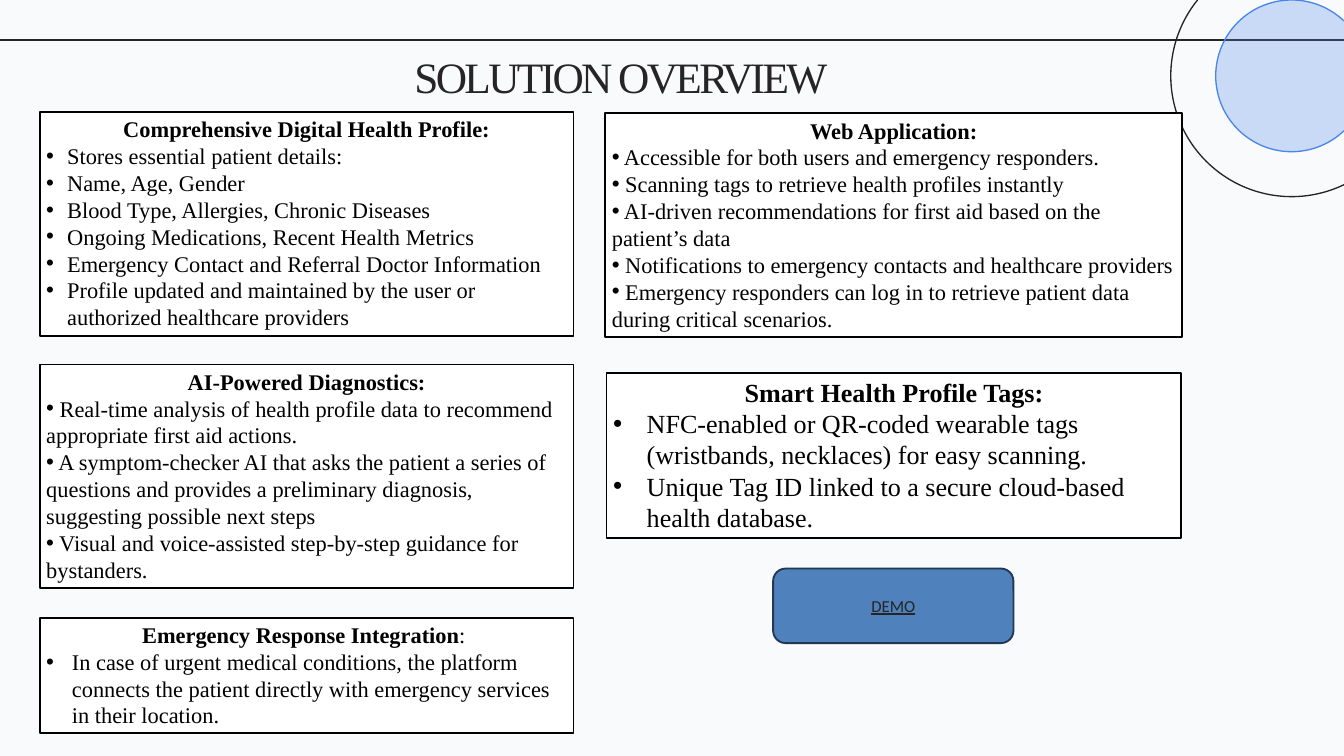
import math

from lxml import etree
from pptx import Presentation
from pptx.dml.color import RGBColor
from pptx.enum.shapes import MSO_CONNECTOR, MSO_SHAPE
from pptx.enum.text import MSO_ANCHOR, MSO_AUTO_SIZE, PP_ALIGN
from pptx.oxml.ns import qn
from pptx.util import Cm, Pt

STRAIGHT = MSO_CONNECTOR.STRAIGHT
RECTANGLE, ROUNDED = MSO_SHAPE.RECTANGLE, MSO_SHAPE.ROUNDED_RECTANGLE
TOP, MIDDLE = MSO_ANCHOR.TOP, MSO_ANCHOR.MIDDLE
LEFT, CENTER = PP_ALIGN.LEFT, PP_ALIGN.CENTER
FIXED, GROW = MSO_AUTO_SIZE.NONE, MSO_AUTO_SIZE.SHAPE_TO_FIT_TEXT

COLORS = {"page": "F8FAFB", "ink": "262425", "accent": "4A86E8", "card": "FFFFFF",
          "text": "000000", "button": "4F81BD", "button edge": "233953"}
SERIF, SANS = "Times New Roman", "Calibri"
PAGE_WIDTH, PAGE_HEIGHT = 50.83, 28.6

LEFT_X, LEFT_WIDTH = 1.5, 20.19
CARDS = [
    {"box": (LEFT_X, 4.24, LEFT_WIDTH, 8.46), "size": 24, "indent": 0.79,
     "heading": "Comprehensive Digital Health Profile:",
     "points": ["Stores essential patient details:",
                "Name, Age, Gender",
                "Blood Type, Allergies, Chronic Diseases",
                "Ongoing Medications, Recent Health Metrics",
                "Emergency Contact and Referral Doctor Information",
                "Profile updated and maintained by the user or authorized healthcare providers"]},
    {"box": (LEFT_X, 13.79, LEFT_WIDTH, 8.46), "size": 24, "indent": 0,
     "heading": "AI-Powered Diagnostics:",
     "points": [" Real-time analysis of health profile data to recommend appropriate "
                "first aid actions.",
                " A symptom-checker AI that asks the patient a series of questions and "
                "provides a preliminary diagnosis, suggesting possible next steps",
                " Visual and voice-assisted step-by-step guidance for bystanders."]},
    {"box": (LEFT_X, 23.37, LEFT_WIDTH, 4.37), "size": 24, "indent": 0.97,
     "heading": "Emergency Response Integration", "plain tail": ": ",
     "points": ["In case of urgent medical conditions, the platform connects the patient "
                "directly with emergency services in their location."]},
    {"box": (22.89, 4.29, 21.82, 8.46), "size": 24, "indent": 0,
     "heading": "Web Application:",
     "points": [" Accessible for both users and emergency responders.",
                " Scanning tags to retrieve health profiles instantly",
                " AI-driven recommendations for first aid based on the patient’s data",
                " Notifications to emergency contacts and healthcare providers",
                " Emergency responders can log in to retrieve patient data during "
                "critical scenarios."]},
    {"box": (22.94, 14.1, 21.74, 6.25), "size": 28, "indent": 1.27,
     "heading": "Smart Health Profile Tags:",
     "points": ["NFC-enabled or QR-coded wearable tags (wristbands, necklaces) for easy "
                "scanning.",
                "Unique Tag ID linked to a secure cloud-based health database."]},
]


def rgb(name):
    return RGBColor.from_string(COLORS[name])


def style(shape, fill=None, line=None, width=1.41):
    shape.shadow.inherit = False
    if fill:
        shape.fill.solid()
        shape.fill.fore_color.rgb = rgb(fill)
    else:
        shape.fill.background()
    if line:
        shape.line.color.rgb = rgb(line)
        shape.line.width = Pt(width)
    else:
        shape.line.fill.background()


def add_span(para, text, color, **formats):
    span = para.add_run()
    span.text = text
    span.font.color.rgb = rgb(color)
    for name, value in formats.items():
        setattr(span.font, name, value)
    return span


def set_bullet(para, indent):
    properties = para._p.get_or_add_pPr()
    properties.set("marL", str(Cm(indent)))
    properties.set("indent", str(-Cm(indent)))
    etree.SubElement(properties, qn("a:buFont")).set("typeface", "Arial")
    etree.SubElement(properties, qn("a:buChar")).set("char", "•")


def add_arc(page, center, radius, start, end, closed):
    """Draw a circle's arc, with angles in degrees clockwise from the right."""
    steps = 90
    angles = [math.radians(start + (end - start) * i / steps) for i in range(steps + 1)]
    points = [(Cm(center[0] + radius * math.cos(angle)),
               Cm(center[1] + radius * math.sin(angle))) for angle in angles]
    outline = page.shapes.build_freeform(*points[0])
    outline.add_line_segments(points[1:], close=closed)
    return outline.convert_to_shape()


def add_decoration(page, width):
    rule = page.shapes.add_connector(STRAIGHT, 0, Cm(1.52), Cm(width), Cm(1.52))
    rule.line.color.rgb = rgb("ink")
    rule.line.width = Pt(1.47)
    etree.SubElement(rule._element.spPr, qn("a:effectLst"))

    center, ring, disc = (width - 1.98, 2.87), 4.57, 2.87
    to_edge = width - center[0]
    ring_start = math.degrees(math.acos(to_edge / ring))
    ring_end = 180 + math.degrees(math.asin(center[1] / ring))
    style(add_arc(page, center, ring, ring_start, ring_end, False), line="ink")

    disc_start = math.degrees(math.acos(to_edge / disc))
    for closed, formats in ((True, {"fill": "accent"}), (False, {"line": "accent"})):
        arc = add_arc(page, center, disc, disc_start, 360 - disc_start, closed)
        style(arc, **formats)
        if closed:
            color = arc._element.spPr.find(qn("a:solidFill"))[0]
            etree.SubElement(color, qn("a:alpha")).set("val", "27000")


def place_title(page, box):
    title = page.shapes.title
    title.left, title.top, title.width, title.height = map(Cm, box)
    frame = title.text_frame
    formats = {"margin_left": 0, "margin_right": 0, "margin_top": Cm(0.05),
               "margin_bottom": 0, "vertical_anchor": TOP, "word_wrap": True,
               "auto_size": FIXED}
    for name, value in formats.items():
        setattr(frame, name, value)
    para = frame.paragraphs[0]
    para.alignment = LEFT
    para.space_before = Pt(1.2)
    span = add_span(para, "SOLUTION OVERVIEW", "ink", name=SERIF, size=Pt(46.5))
    span._r.get_or_add_rPr().set("spc", "-280")


def add_card(page, card):
    shape = page.shapes.add_shape(RECTANGLE, *map(Cm, card["box"]))
    style(shape, "card", "text", 2)
    frame = shape.text_frame
    frame.vertical_anchor = TOP
    frame.word_wrap = True
    frame.auto_size = GROW
    font = {"name": SERIF, "size": Pt(card["size"])}
    heading = frame.paragraphs[0]
    heading.alignment = CENTER
    add_span(heading, card["heading"], "text", bold=True, **font)
    if "plain tail" in card:
        add_span(heading, card["plain tail"], "text", **font)
    for point in card["points"]:
        para = frame.add_paragraph()
        para.alignment = LEFT
        set_bullet(para, card["indent"])
        add_span(para, point, "text", **font)


def add_button(page, box):
    button = page.shapes.add_shape(ROUNDED, *map(Cm, box))
    style(button, "button", "button edge", 2)
    button.text_frame.vertical_anchor = MIDDLE
    para = button.text_frame.paragraphs[0]
    para.alignment = CENTER
    add_span(para, "DEMO", "ink", name=SANS, size=Pt(18), underline=True)


def main():
    deck = Presentation()
    deck.slide_width, deck.slide_height = Cm(PAGE_WIDTH), Cm(PAGE_HEIGHT)
    page = deck.slides.add_slide(deck.slide_layouts.get_by_name("Title Only"))
    page.background.fill.solid()
    page.background.fill.fore_color.rgb = rgb("page")
    add_decoration(page, PAGE_WIDTH)
    place_title(page, (15.67, 1.83, 32.64, 2.06))
    for card in CARDS:
        add_card(page, card)
    add_button(page, (29.24, 21.51, 9.09, 2.82))
    deck.save("out.pptx")


if __name__ == "__main__":
    main()
